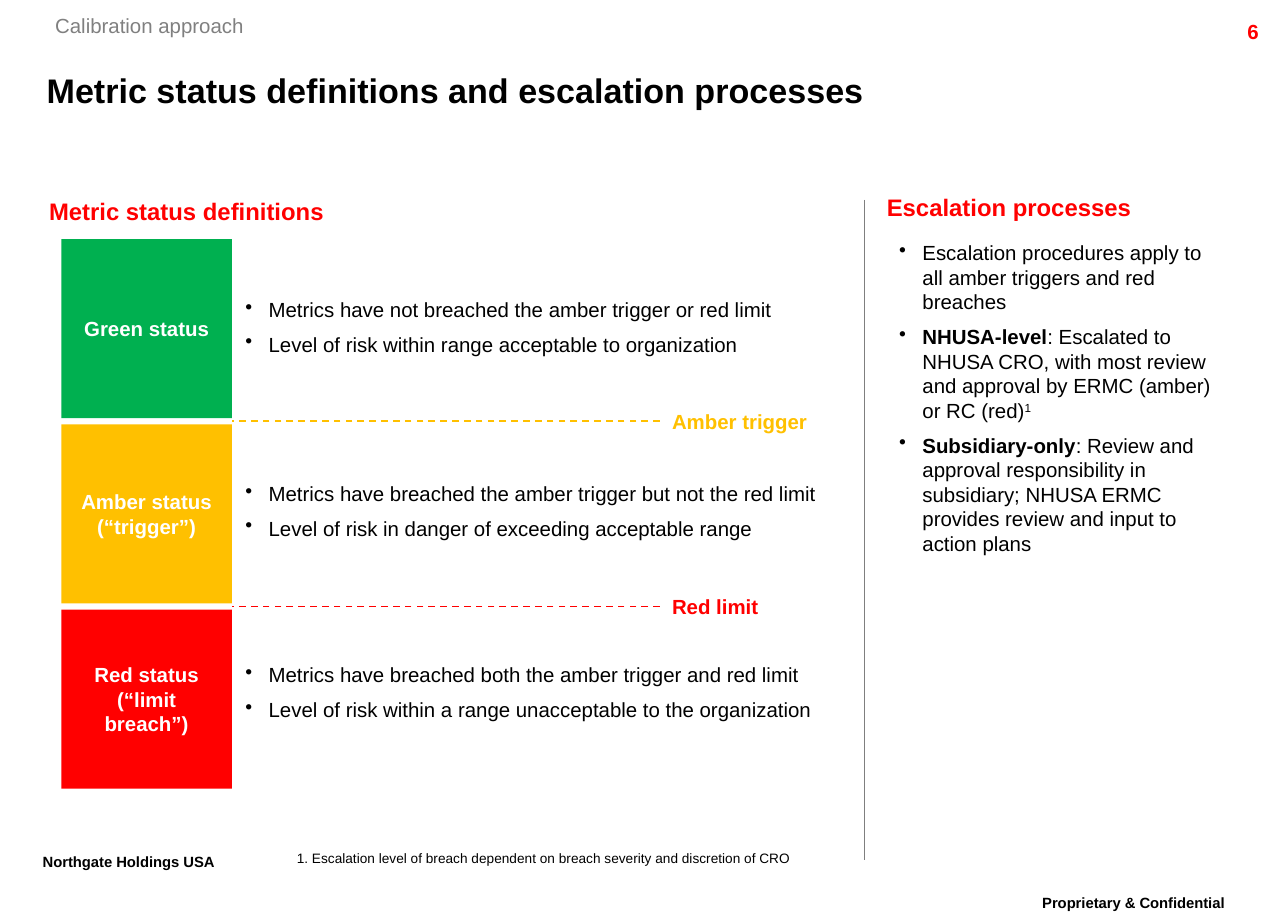
from dataclasses import dataclass

from lxml import etree
from pptx import Presentation
from pptx.dml.color import RGBColor
from pptx.enum.dml import MSO_LINE
from pptx.enum.shapes import MSO_CONNECTOR, MSO_SHAPE
from pptx.enum.text import MSO_ANCHOR, PP_ALIGN
from pptx.oxml.ns import qn
from pptx.util import Inches, Pt

LEFT, CENTER, RIGHT = PP_ALIGN.LEFT, PP_ALIGN.CENTER, PP_ALIGN.RIGHT
TOP, MIDDLE, BOTTOM = MSO_ANCHOR.TOP, MSO_ANCHOR.MIDDLE, MSO_ANCHOR.BOTTOM
STRAIGHT, RECTANGLE, DASH = MSO_CONNECTOR.STRAIGHT, MSO_SHAPE.RECTANGLE, MSO_LINE.DASH
LEFT_SIDE = 1


@dataclass(frozen=True)
class Theme:
    font: str = "Arial"
    black: str = "000000"
    white: str = "FFFFFF"
    green: str = "00B050"
    amber: str = "FFC000"
    red: str = "FF0000"
    gray: str = "808080"
    divider: str = "7F7F7F"
    title: int = 20
    heading: int = 14
    body: int = 12
    footer: int = 15
    footnote: int = 8


THEME = Theme()


@dataclass(frozen=True)
class Span:
    text: str
    bold: bool = False
    raised: bool = False


@dataclass(frozen=True)
class Status:
    lines: list[str]
    color: str
    definitions: list[str]
    definitions_top: float
    threshold: str = ""  # the limit that separates this status from the one above


STATUSES = [
    Status(["Green status"], THEME.green,
           ["Metrics have not breached the amber trigger or red limit",
            "Level of risk within range acceptable to organization"], 2.42),
    Status(["Amber status", "(“trigger”)"], THEME.amber,
           ["Metrics have breached the amber trigger but not the red limit",
            "Level of risk in danger of exceeding acceptable range"], 3.92, "Amber trigger"),
    Status(["Red status", "(“limit breach”)"], THEME.red,
           ["Metrics have breached both the amber trigger and red limit",
            "Level of risk within a range unacceptable to the organization"], 5.4, "Red limit"),
]
ESCALATION = [
    [Span("Escalation procedures apply to all amber triggers and red breaches")],
    [Span("NHUSA-level", bold=True),
     Span(": Escalated to NHUSA CRO, with most review and approval by ERMC (amber) or RC (red)"),
     Span("1", raised=True)],
    [Span("Subsidiary-only", bold=True),
     Span(": Review and approval responsibility in subsidiary; NHUSA ERMC provides review "
          "and input to action plans")],
]
BAND_LEFT, BAND_TOP, BAND_WIDTH, BAND_HEIGHT, BAND_GAP = 0.5, 1.95, 1.39, 1.46, 0.05
LABEL_LEFT, LABEL_HEIGHT = 5.38, 0.3


def fill_text(box, paragraphs, *, size=THEME.body, color=THEME.black, bold=False,
              raised=False, align=LEFT, anchor=TOP, inset=True, wrap=True,
              bullets=False, gap=0, line_spacing=None):
    """Write paragraphs, each a string or a list of spans, into a shape."""
    frame = box.text_frame
    frame.word_wrap = wrap
    frame.vertical_anchor = anchor
    if not inset:
        frame.margin_left = frame.margin_right = frame.margin_top = frame.margin_bottom = 0
    for index, content in enumerate(paragraphs):
        para = frame.paragraphs[0] if index == 0 else frame.add_paragraph()
        para.alignment = align
        if line_spacing:
            para.line_spacing = line_spacing
        if index and gap:
            para.space_before = Pt(gap)
        if bullets:
            properties = para._p.get_or_add_pPr()
            properties.set("marL", str(Inches(0.19)))
            properties.set("indent", str(Inches(-0.19)))
            etree.SubElement(properties, qn("a:buChar")).set("char", "•")
        spans = [Span(content)] if isinstance(content, str) else content
        for span in spans:
            run = para.add_run()
            run.text = span.text
            run.font.name = THEME.font
            run.font.size = Pt(size)
            run.font.bold = bold or span.bold
            run.font.color.rgb = RGBColor.from_string(color)
            if raised or span.raised:
                run._r.get_or_add_rPr().set("baseline", "30000")


def add_text(page, paragraphs, left: float, top: float, width: float, height: float, **style):
    box = page.shapes.add_textbox(Inches(left), Inches(top), Inches(width), Inches(height))
    fill_text(box, paragraphs, **style)
    return box


def add_line(page, start: tuple[float, float], end: tuple[float, float], color: str,
             width: float):
    line = page.shapes.add_connector(STRAIGHT, *map(Inches, start + end))
    line.line.color.rgb = RGBColor.from_string(color)
    line.line.width = Pt(width)
    etree.SubElement(line._element.spPr, qn("a:effectLst"))
    return line


def add_status(page, status: Status, top: float) -> None:
    """Draw the coloured band, its definitions and the threshold above it."""
    band = page.shapes.add_shape(RECTANGLE, Inches(BAND_LEFT), Inches(top),
                                 Inches(BAND_WIDTH), Inches(BAND_HEIGHT))
    band.shadow.inherit = False
    band.fill.solid()
    band.fill.fore_color.rgb = RGBColor.from_string(status.color)
    band.line.fill.background()
    fill_text(band, status.lines, color=THEME.white, bold=True, align=CENTER, anchor=MIDDLE)
    add_text(page, status.definitions, 2, status.definitions_top, 4.89, 0.49,
             inset=False, bullets=True, gap=6)
    if status.threshold:
        middle = top - BAND_GAP / 2
        label = add_text(page, [status.threshold], LABEL_LEFT, middle - LABEL_HEIGHT / 2,
                         1.39, LABEL_HEIGHT, color=status.color, bold=True)
        line = add_line(page, (LABEL_LEFT, middle), (BAND_LEFT + BAND_WIDTH, middle),
                        status.color, 1)
        line.line.dash_style = DASH
        line.begin_connect(label, LEFT_SIDE)


def add_frame(page) -> None:
    """Draw the page number, the section name, the title and the footers."""
    footer = dict(size=THEME.footer, bold=True, raised=True, line_spacing=0.86)
    add_text(page, ["Proprietary & Confidential"], 8.15, 7.25, 2.18, 0.35,
             align=CENTER, **footer)
    add_text(page, ["Northgate Holdings USA"], 0.25, 6.91, 1.91, 0.35, **footer)
    add_text(page, ["6"], 9.36, 0.11, 1, 0.24, color=THEME.red, bold=True, align=RIGHT)
    add_text(page, ["Calibration approach"], 0.45, 0.11, 1.54, 0.2,
             color=THEME.gray, inset=False)
    add_text(page, ["Metric status definitions and escalation processes"],
             0.38, 0.49, 9.48, 0.48, size=THEME.title, bold=True, anchor=MIDDLE, inset=False)
    add_text(page, ["1. Escalation level of breach dependent on breach severity and "
                    "discretion of CRO"],
             2.42, 6.93, 4.5, 0.13, size=THEME.footnote, anchor=BOTTOM, inset=False)


def main() -> None:
    deck = Presentation()
    deck.slide_width, deck.slide_height = Inches(10.5), Inches(7.5)
    page = deck.slides.add_slide(deck.slide_layouts[6])
    add_frame(page)

    heading = dict(size=THEME.heading, color=THEME.red, bold=True, inset=False)
    add_text(page, ["Metric status definitions"], 0.4, 1.6, 4.5, 0.24, **heading)
    for index, status in enumerate(STATUSES):
        add_status(page, status, BAND_TOP + index * (BAND_HEIGHT + BAND_GAP))

    add_line(page, (7.05, 1.63), (7.05, 7.01), THEME.divider, 0.75)
    add_text(page, ["Escalation processes"], 7.23, 1.57, 2.67, 0.24, **heading)
    add_text(page, ESCALATION, 7.33, 1.96, 2.67, 2.39, inset=False, bullets=True, gap=6)
    deck.save("out.pptx")


if __name__ == "__main__":
    main()
